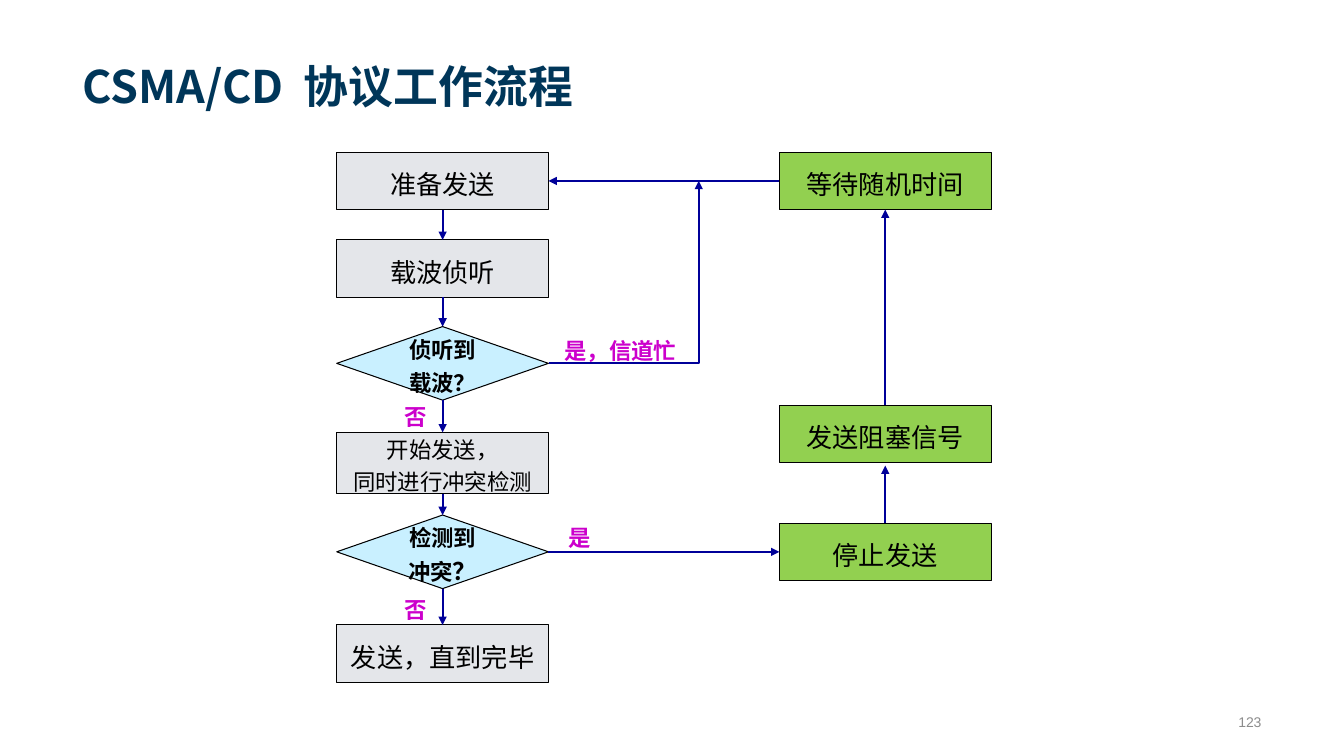
from lxml import etree
from pptx import Presentation
from pptx.dml.color import RGBColor
from pptx.enum import shapes, text
from pptx.oxml.ns import qn
from pptx.util import Inches, Pt

HUE = {"title": "003659", "page": "8C8C8C", "ink": "000000", "step": "E4E6EA",
       "test": "C9F0FF", "jam": "92D050", "line": "000099", "label": "CC00CC"}
CJK = "Noto Sans CJK SC"
LEFT, RIGHT, WIDE = 3.34, 7.73, 2.1
BOX, CHECK = 0.57, 0.73

# kind, left, top, height, paragraphs of (text, size) runs
NODES = [
    ("step", LEFT, 1.51, BOX, [[("准备发送", 18.7)]]),
    ("step", LEFT, 2.38, BOX, [[("载波侦听", 18.7)]]),
    ("test", LEFT, 3.24, CHECK, [[("侦听到载波？", 16)]]),
    ("step", LEFT, 4.29, 0.61, [[("开始发送，", 16)], [("同时进行冲突检测", 16)]]),
    ("test", LEFT, 5.11, CHECK, [[("检测到冲突", 16), ("？", 17.3)]]),
    ("step", LEFT, 6.2, BOX, [[("发送，直到完毕", 18.7)]]),
    ("jam", RIGHT, 1.51, BOX, [[("等待随机时间", 18.7)]]),
    ("jam", RIGHT, 4.02, BOX, [[("发送阻塞信号", 18.7)]]),
    ("jam", RIGHT, 5.19, BOX, [[("停止发送", 18.7)]]),
]
LABELS = [("是，信道忙", 5.5, 3.24, 1.32), ("是", 5.54, 5.1, 0.43),
          ("否", 3.91, 3.9, 0.43), ("否", 3.91, 5.81, 0.43)]

deck = Presentation()
deck.slide_width, deck.slide_height = Inches(13.33), Inches(7.5)
slide = deck.slides.add_slide(deck.slide_layouts[6])


def add_run(para, words, size, color, bold=False, face=CJK):
    run = para.add_run()
    run.text = words
    font = run.font
    font.size, font.bold = Pt(size), bold
    font.color.rgb = RGBColor.from_string(HUE[color])
    font.name = face
    etree.SubElement(font._element, qn("a:ea")).set("typeface", face)
    return run


def add_text(left, top, width, height, wrap=True):
    box = slide.shapes.add_textbox(*map(Inches, (left, top, width, height)))
    box.text_frame.word_wrap = wrap
    return box.text_frame


def add_node(kind, left, top, height, paras):
    test = kind == "test"
    form = shapes.MSO_SHAPE.DIAMOND if test else shapes.MSO_SHAPE.RECTANGLE
    node = slide.shapes.add_shape(form, *map(Inches, (left, top, WIDE, height)))
    node.shadow.inherit = False
    node.fill.solid()
    node.fill.fore_color.rgb = RGBColor.from_string(HUE[kind])
    node.line.color.rgb = RGBColor.from_string(HUE["ink"])
    node.line.width = Pt(0.75)
    frame = node.text_frame
    frame.word_wrap = True
    frame.vertical_anchor = text.MSO_ANCHOR.MIDDLE
    for i, runs in enumerate(paras):
        para = frame.add_paragraph() if i else frame.paragraphs[0]
        para.alignment = text.PP_ALIGN.CENTER
        para.line_spacing = 1.2
        for words, size in runs:
            add_run(para, words, size, "ink", test)


def add_arrow(x1, y1, x2, y2, bent=False):
    kind = shapes.MSO_CONNECTOR.ELBOW if bent else shapes.MSO_CONNECTOR.STRAIGHT
    arrow = slide.shapes.add_connector(kind, *map(Inches, (x1, y1, x2, y2)))
    arrow.line.color.rgb = RGBColor.from_string(HUE["line"])
    arrow.line.width = Pt(1.5)
    props = arrow._element.spPr
    if bent:  # one corner instead of two
        props.find(qn("a:prstGeom")).set("prst", "bentConnector2")
    etree.SubElement(props.find(qn("a:ln")), qn("a:tailEnd")).set("type", "triangle")
    etree.SubElement(props, qn("a:effectLst"))


head = add_text(0.72, 0.14, 11.88, 0.98)
head.vertical_anchor = text.MSO_ANCHOR.BOTTOM
head.margin_bottom = 0
line = head.paragraphs[0]
add_run(line, "CSMA/CD", 32, "title", True)
gap = add_run(line, " ", 32, "title", True)
gap.font._element.set("spc", "700")
add_run(line, "协议工作流程", 32, "title", True)

page = add_text(11.73, 7.01, 0.88, 0.3)
page.vertical_anchor = text.MSO_ANCHOR.MIDDLE
page.paragraphs[0].alignment = text.PP_ALIGN.RIGHT
add_run(page.paragraphs[0], "123", 10, "page", face="Arial")

for node in NODES:
    add_node(*node)

main = [node for node in NODES if node[1] == LEFT]
mid, edge, far = LEFT + WIDE / 2, LEFT + WIDE, RIGHT + WIDE / 2
for (_, _, top, height, _), after in zip(main, main[1:]):
    add_arrow(mid, top + height, mid, after[2])

wait, jam, stop = [node[2] for node in NODES if node[1] == RIGHT]
back = wait + BOX / 2
add_arrow(edge, stop + BOX / 2, RIGHT, stop + BOX / 2)
add_arrow(far, stop, far, jam + BOX + 0.03)
add_arrow(far, jam, far, wait + BOX)
add_arrow(RIGHT, back, edge, back)
add_arrow(edge, main[2][2] + CHECK / 2, 6.93, back, bent=True)

for words, left, top, width in LABELS:
    frame = add_text(left, top, width, 0.4, wrap=False)
    frame.auto_size = text.MSO_AUTO_SIZE.SHAPE_TO_FIT_TEXT
    frame.paragraphs[0].line_spacing = 1.2
    add_run(frame.paragraphs[0], words, 16, "label", True)

deck.save("out.pptx")
